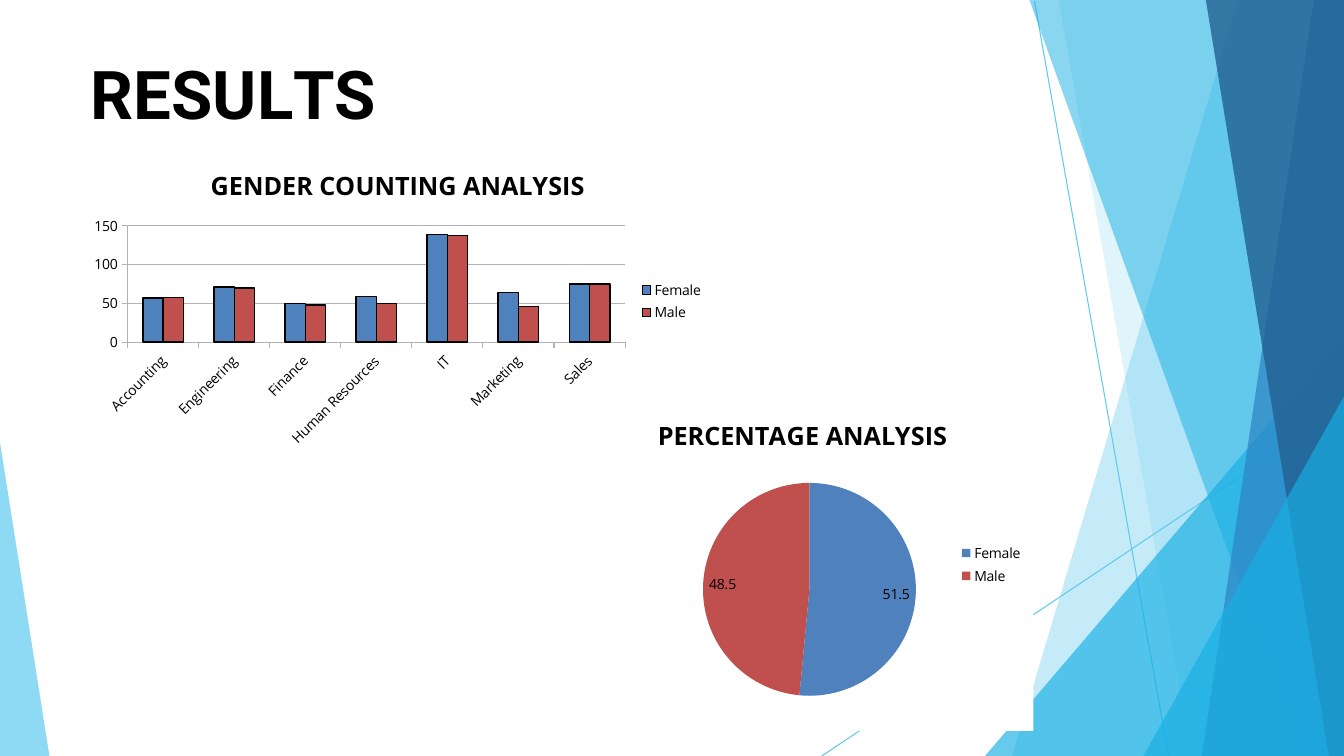
from lxml import etree
from pptx import Presentation
from pptx.chart.data import CategoryChartData
from pptx.dml.color import RGBColor
from pptx.enum.chart import XL_CHART_TYPE as CT, XL_LABEL_POSITION as LP
from pptx.enum.chart import XL_LEGEND_POSITION as LEGEND, XL_TICK_MARK as TICK
from pptx.enum.shapes import MSO_CONNECTOR
from pptx.enum.text import MSO_ANCHOR, MSO_AUTO_SIZE
from pptx.oxml import parse_xml
from pptx.oxml.ns import nsdecls, qn
from pptx.util import Inches, Pt

WHITE = RGBColor(0xFF, 0xFF, 0xFF)
BLACK = RGBColor(0, 0, 0)
GRID = RGBColor(0xB3, 0xB3, 0xB3)
SKY = RGBColor(0x5F, 0xCA, 0xEE)
CYAN = RGBColor(0x17, 0xAF, 0xE3)
BLUE = RGBColor(0x2D, 0x83, 0xC3)
NAVY = RGBColor(0x22, 0x61, 0x92)
FEMALE = RGBColor(0x4F, 0x81, 0xBD)
MALE = RGBColor(0xC0, 0x50, 0x4D)

W, H = 13.33, 7.5
RIBBONS = [
    ([(W, 0), (12.28, 0), (10.04, H), (W, H)], SKY, 36),
    ([(W, 0), (10.5, 0), (11.82, H), (W, H)], SKY, 20),
    ([(W, 3.33), (9.77, H), (W, H)], CYAN, 66),
    ([(W, 0), (10.21, 0), (12.91, H), (W, H)], CYAN, 50),
    ([(W, 0), (13.03, 0), (11.92, H), (W, H)], BLUE, 70),
    ([(W, 0), (11.96, 0), (13.18, H), (W, H)], NAVY, 80),
    ([(W, 3.93), (11.34, H), (W, H)], CYAN, 66),
    ([(0, 4.39), (0, H), (0.49, H)], SKY, 70),
]


def add_decor(slide, x, y):
    for x1, y1, x2, y2 in [(10.26, 0.01, 11.59, H), (W, 4.04, 8.15, H)]:
        ends = [Inches(v) for v in (x + x1, y + y1, x + x2, y + y2)]
        line = slide.shapes.add_connector(MSO_CONNECTOR.STRAIGHT, *ends)
        line.line.color.rgb = SKY
        line.line.width = Pt(0.75)
        etree.SubElement(line._element.spPr, qn("a:effectLst"))
    for points, color, opacity in RIBBONS:
        start, *rest = [(Inches(x + px), Inches(y + py)) for px, py in points]
        fb = slide.shapes.build_freeform(*start)
        fb.add_line_segments(rest, close=True)
        sp = fb.convert_to_shape()
        sp.shadow.inherit = False
        sp.fill.solid()
        sp.fill.fore_color.rgb = color
        sp.line.fill.background()
        clr = sp._element.spPr.find(".//" + qn("a:srgbClr"))
        etree.SubElement(clr, qn("a:alpha"), val=str(opacity * 1000))


def add_title(slide, x, y, w, h):
    sp = slide.shapes.title
    sp.left, sp.top, sp.width, sp.height = map(Inches, (x, y, w, h))
    tf = sp.text_frame
    tf.auto_size = MSO_AUTO_SIZE.NONE
    tf.vertical_anchor = MSO_ANCHOR.TOP
    tf.margin_left, tf.margin_top, tf.margin_bottom = Inches(0.07), Inches(0.1), 0
    p = tf.paragraphs[0]
    p.alignment = 1
    p.line_spacing = 1.0
    p.font.name, p.font.size, p.font.bold = "Roboto", Pt(48), True
    p.font.color.rgb = BLACK
    for text, spacing in [("R", 0), ("E", -40), ("S", 10), ("U", -30), ("L", -400), ("TS", 0)]:
        r = p.add_run()
        r.text = text
        r.font._element.set("spc", str(spacing))


def add_chart(slide, kind, box, title, cats, series):
    data = CategoryChartData()
    data.categories = cats
    for name, values in series:
        data.add_series(name, values)
    chart = slide.shapes.add_chart(kind, *map(Inches, box), data).chart
    chart.font.name, chart.font.size = "Open Sans", Pt(10)
    chart.font.color.rgb = BLACK
    chart.has_title = True
    chart.chart_title.include_in_layout = False
    tf = chart.chart_title.text_frame
    tf.text = title
    font = tf.paragraphs[0].font
    font.name, font.size, font.bold = "Open Sans", Pt(18), True
    font.color.rgb = BLACK
    chart.has_legend = True
    chart.legend.position = LEGEND.RIGHT
    chart.legend.include_in_layout = False
    chart._chartSpace.find(qn("c:chart")).addnext(parse_xml(
        f'<c:spPr {nsdecls("c", "a")}><a:solidFill><a:srgbClr val="{WHITE}"/>'
        '</a:solidFill><a:ln><a:noFill/></a:ln></c:spPr>'))
    return chart


def add_gender_chart(slide, *box):
    cats = ["Accounting", "Engineering", "Finance", "Human Resources", "IT", "Marketing", "Sales"]
    chart = add_chart(slide, CT.COLUMN_CLUSTERED, box, "GENDER COUNTING ANALYSIS", cats,
                      [("Female", (57, 71, 50, 59, 139, 64, 75)),
                       ("Male", (58, 70, 48, 50, 138, 46, 75))])
    plot = chart.plots[0]
    plot.gap_width, plot.overlap = 150, 0
    plot.vary_by_categories = False
    for s, color in zip(plot.series, (FEMALE, MALE)):
        s.format.fill.solid()
        s.format.fill.fore_color.rgb = color
        s.format.line.color.rgb = BLACK
        s.format.line.width = Pt(1)
    for axis in (chart.category_axis, chart.value_axis):
        axis.major_tick_mark = TICK.OUTSIDE
        axis.format.line.color.rgb = GRID
        font = axis.tick_labels.font
        font.name, font.size = "Open Sans", Pt(10)
        font.color.rgb = BLACK
    chart.value_axis.major_gridlines.format.line.color.rgb = GRID
    labels = chart.category_axis._element.find(qn("c:txPr"))
    labels.find(qn("a:bodyPr")).set("rot", "-2700000")


def add_percentage_chart(slide, *box):
    chart = add_chart(slide, CT.PIE, box, "PERCENTAGE ANALYSIS", ["Female", "Male"],
                      [("Series 1", (51.5, 48.5))])
    plot = chart.plots[0]
    plot.vary_by_categories = True
    for i, color in enumerate((FEMALE, MALE)):
        fill = plot.series[0].points[i].format.fill
        fill.solid()
        fill.fore_color.rgb = color
    labels = plot.series[0].data_labels
    labels.show_value = True
    labels.position = LP.INSIDE_END
    labels.font.name, labels.font.size = "Open Sans", Pt(10)
    labels.font.color.rgb = BLACK
    area = chart._chartSpace.find(".//" + qn("c:plotArea"))
    for old in area.findall(qn("c:layout")):
        area.remove(old)
    layout = etree.Element(qn("c:layout"))
    manual = etree.SubElement(layout, qn("c:manualLayout"))
    for tag, value in [("layoutTarget", "inner"), ("xMode", "edge"), ("yMode", "edge"),
                       ("x", "0.17"), ("y", "0.255"), ("w", "0.69"), ("h", "0.64")]:
        etree.SubElement(manual, qn("c:" + tag), val=value)
    area.insert(0, layout)


def main():
    prs = Presentation()
    prs.slide_width, prs.slide_height = Inches(W), Inches(H)
    slide = prs.slides.add_slide(prs.slide_layouts[5])
    add_decor(slide, 0, 0)
    add_title(slide, 0.83, 0.42, 11.68, 0.83)
    add_gender_chart(slide, 0.81, 1.48, 6.27, 3.02)
    add_percentage_chart(slide, 5.67, 3.95, 4.58, 3.3)
    prs.save("out.pptx")


if __name__ == "__main__":
    main()
